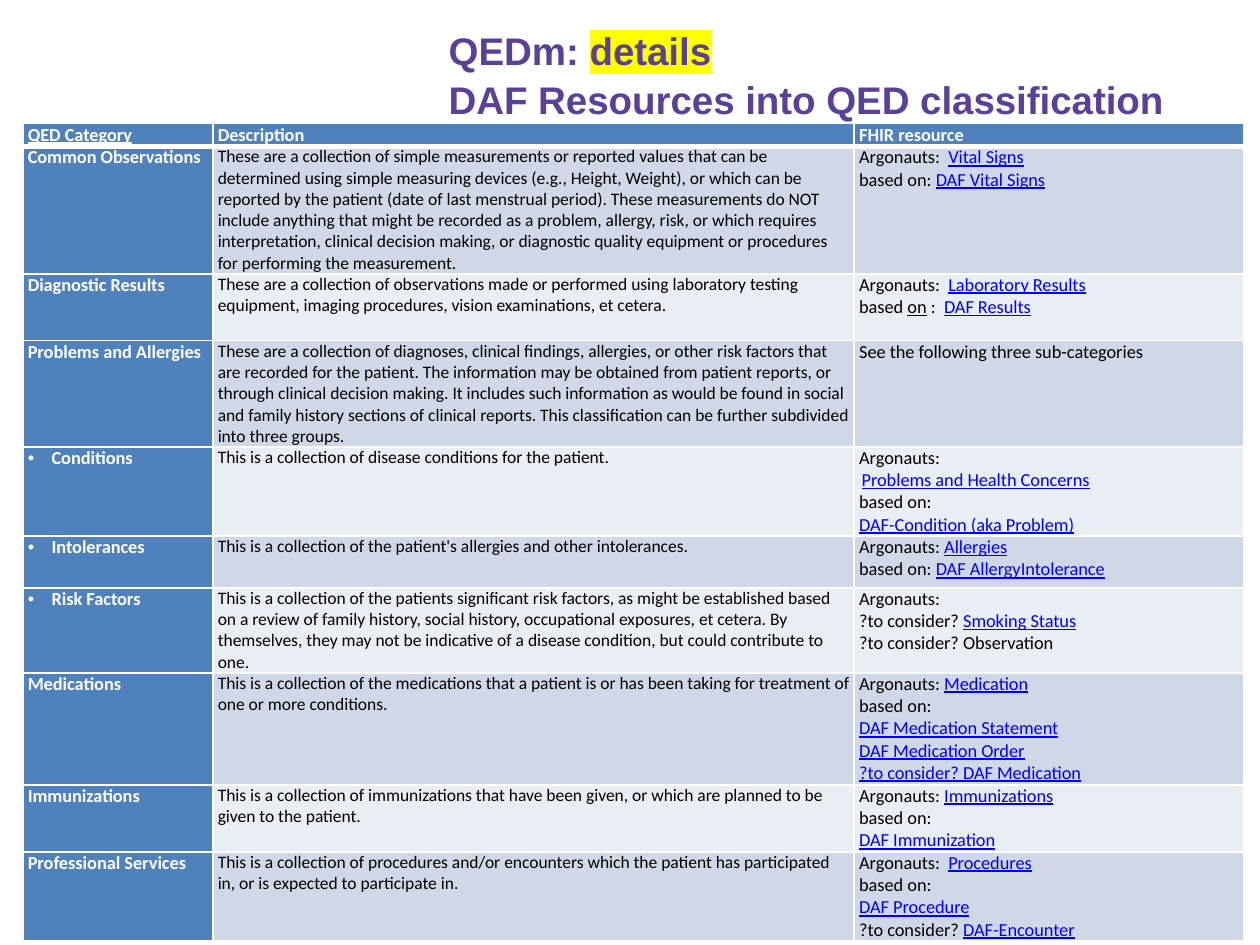
from dataclasses import dataclass

from lxml.etree import SubElement
from pptx import Presentation
from pptx.dml.color import RGBColor
from pptx.enum.text import MSO_ANCHOR, MSO_AUTO_SIZE, PP_ALIGN
from pptx.oxml.ns import qn
from pptx.util import Cm, Pt

WHITE, BLACK, LINK_BLUE, PURPLE = "FFFFFF", "000000", "0000FF", "5A4099"
HEADER_FILL = "4F81BD"
BAND_FILLS = ("D0D8E8", "E9EDF4")
TITLE = {"name": "Arial", "size": Pt(22), "bold": True}
LABEL = {"name": "Calibri", "size": Pt(10.5), "bold": True}
DESCRIPTION = {"name": "Calibri", "size": Pt(10), "bold": False}
RESOURCE = {"name": "Calibri", "size": Pt(10.5), "bold": False}
COLUMN_WIDTHS = (3.83, 12.93, 7.85)
ROW_HEIGHTS = (0.46, 2.54, 1.35, 2.14, 1.8, 1.04, 1.71, 2.26, 1.35, 1.78)


@dataclass
class Run:
    """A piece of text with its colour and underline."""
    text: str
    colour: str = BLACK
    underline: bool = False


@dataclass
class Line:
    """A paragraph of runs with its indent in centimetres."""
    runs: list
    indent: float = 0
    bullet: bool = False


def link(text):
    """Return a run that looks like a link."""
    return Run(text, LINK_BLUE, True)


def line(*parts, indent=0):
    """Return a line in which plain strings become black runs."""
    runs = [Run(part) if isinstance(part, str) else part for part in parts]
    return Line(runs, indent)


def label(text, bullet=False, underline=False):
    """Return a white line for the first column or the header."""
    return Line([Run(text, WHITE, underline)], 0.48 if bullet else 0, bullet)


CATEGORIES = [
    ("Common Observations", False,
     "These are a collection of simple measurements or reported values that can be determined "
     "using simple measuring devices (e.g., Height, Weight), or which can be reported by the "
     "patient (date of last menstrual period). These measurements do NOT include anything that "
     "might be recorded as a problem, allergy, risk, or which requires interpretation, clinical "
     "decision making, or diagnostic quality equipment or procedures for performing the "
     "measurement.",
     [line("Argonauts:  ", link("Vital Signs")),
      line("based on: ", link("DAF Vital Signs"))]),
    ("Diagnostic Results", False,
     "These are a collection of observations made or performed using laboratory testing "
     "equipment, imaging procedures, vision examinations, et cetera.",
     [line("Argonauts:  ", link("Laboratory Results")),
      line("based ", Run("on", underline=True), " :  ", link("DAF Results"))]),
    ("Problems and Allergies", False,
     "These are a collection of diagnoses, clinical findings, allergies, or other risk factors "
     "that are recorded for the patient. The information may be obtained from patient reports, "
     "or through clinical decision making. It includes such information as would be found in "
     "social and family history sections of clinical reports. This classification can be "
     "further subdivided into three groups.",
     [line("See the following three sub-categories")]),
    ("Conditions", True,
     "This is a collection of disease conditions for the patient.",
     [line("Argonauts:"),
      line(link("Problems and Health Concerns"), indent=0.05),
      line("based on:"),
      line(link("DAF-Condition (aka Problem)"))]),
    ("Intolerances", True,
     "This is a collection of the patient's allergies and other intolerances.",
     [line("Argonauts: ", link("Allergies")),
      line("based on: ", link("DAF AllergyIntolerance"))]),
    ("Risk Factors", True,
     "This is a collection of the patients significant risk factors, as might be established "
     "based on a review of family history, social history, occupational exposures, et cetera. "
     "By themselves, they may not be indicative of a disease condition, but could contribute "
     "to one.",
     [line("Argonauts:"),
      line("?to consider? ", link("Smoking Status")),
      line("?to consider? Observation")]),
    ("Medications", False,
     "This is a collection of the medications that a patient is or has been taking for "
     "treatment of one or more conditions.",
     [line("Argonauts: ", link("Medication")),
      line("based on:"),
      line(link("DAF Medication Statement")),
      line(link("DAF Medication Order")),
      line(link("?to consider? DAF Medication"))]),
    ("Immunizations", False,
     "This is a collection of immunizations that have been given, or which are planned to be "
     "given to the patient.",
     [line("Argonauts: ", link("Immunizations")),
      line("based on:"),
      line(link("DAF Immunization"))]),
    ("Professional Services", False,
     "This is a collection of procedures and/or encounters which the patient has participated "
     "in, or is expected to participate in.",
     [line("Argonauts:  ", link("Procedures")),
      line("based on:"),
      line(link("DAF Procedure")),
      line("?to consider? ", link("DAF-Encounter"))]),
]


def rgb(hex_colour):
    """Turn a hex string into a colour."""
    return RGBColor.from_string(hex_colour)


def apply(target, values):
    """Set each attribute of the target from a dict."""
    for name, value in values.items():
        setattr(target, name, value)


def write_run(paragraph, piece, text_format):
    """Add a formatted run to a paragraph."""
    run = paragraph.add_run()
    run.text = piece.text
    apply(run.font, {**text_format, "underline": piece.underline})
    run.font.color.rgb = rgb(piece.colour)
    return run


def write_line(paragraph, content, text_format):
    """Fill a paragraph with its indent, bullet and runs."""
    properties = paragraph._p.get_or_add_pPr()
    if content.indent:
        properties.set("marL", str(Cm(content.indent)))
        properties.set("indent", str(-Cm(content.indent) if content.bullet else 0))
    if content.bullet:
        SubElement(properties, qn("a:buFont"), typeface="Arial")
        SubElement(properties, qn("a:buChar"), char="•")
    for piece in content.runs:
        write_run(paragraph, piece, text_format)


def add_borders(cell, bottom_width):
    """Draw white borders ahead of the cell's fill."""
    properties = cell._tc.get_or_add_tcPr()
    for side, width in (("L", 1), ("R", 1), ("T", 1), ("B", bottom_width)):
        border = SubElement(properties, qn(f"a:ln{side}"), w=str(Pt(width)))
        SubElement(SubElement(border, qn("a:solidFill")), qn("a:srgbClr"), val=WHITE)


def fill_cell(cell, lines, text_format, fill, anchor=MSO_ANCHOR.TOP, bottom_width=1):
    """Format a table cell and write its lines."""
    apply(cell, {"margin_left": Cm(0.1), "margin_right": Cm(0.1), "margin_top": 0,
                 "margin_bottom": 0, "vertical_anchor": anchor})
    add_borders(cell, bottom_width)
    cell.fill.solid()
    cell.fill.fore_color.rgb = rgb(fill)
    frame = cell.text_frame
    for index, content in enumerate(lines):
        paragraph = frame.add_paragraph() if index else frame.paragraphs[0]
        write_line(paragraph, content, text_format)


def add_category_table(slide):
    """Add the table of categories, descriptions and resources."""
    table = slide.shapes.add_table(
        len(ROW_HEIGHTS), len(COLUMN_WIDTHS), Cm(0.46), Cm(2.49),
        Cm(sum(COLUMN_WIDTHS)), Cm(sum(ROW_HEIGHTS))).table
    for column, width in zip(table.columns, COLUMN_WIDTHS):
        column.width = Cm(width)
    for row, height in zip(table.rows, ROW_HEIGHTS):
        row.height = Cm(height)
    for column, heading in enumerate(("QED Category", "Description", "FHIR resource")):
        fill_cell(table.cell(0, column), [label(heading, underline=column == 0)], LABEL,
                  HEADER_FILL, MSO_ANCHOR.MIDDLE, 3)
    for row, (category, bullet, description, resources) in enumerate(CATEGORIES, 1):
        band = BAND_FILLS[(row - 1) % 2]
        fill_cell(table.cell(row, 0), [label(category, bullet)], LABEL, HEADER_FILL)
        fill_cell(table.cell(row, 1), [line(description)], DESCRIPTION, band)
        fill_cell(table.cell(row, 2), resources, RESOURCE, band)


def highlight(run, colour):
    """Mark a run with a highlight colour."""
    properties = run._r.get_or_add_rPr()
    marker = SubElement(properties, qn("a:highlight"))
    SubElement(marker, qn("a:srgbClr"), val=colour)
    properties.find(qn("a:solidFill")).addnext(marker)


def write_title(title):
    """Place the title and write its two lines."""
    apply(title, {"left": Cm(8.79), "top": Cm(0.43), "width": Cm(15.77), "height": Cm(2.08)})
    apply(title.text_frame, {"auto_size": MSO_AUTO_SIZE.NONE, "word_wrap": True,
                             "vertical_anchor": MSO_ANCHOR.MIDDLE})
    paragraph = title.text_frame.paragraphs[0]
    apply(paragraph, {"alignment": PP_ALIGN.LEFT, "line_spacing": 1.07})
    write_run(paragraph, Run("QEDm: ", PURPLE), TITLE)
    highlight(write_run(paragraph, Run("details", PURPLE), TITLE), "FFFF00")
    paragraph.add_line_break()
    write_run(paragraph, Run("DAF Resources into QED classification", PURPLE), TITLE)


def main():
    """Build the slide and save it."""
    presentation = Presentation()
    apply(presentation, {"slide_width": Cm(25.4), "slide_height": Cm(19.05)})
    slide = presentation.slides.add_slide(presentation.slide_layouts[0])
    subtitle = slide.placeholders[1].element
    subtitle.getparent().remove(subtitle)
    add_category_table(slide)
    write_title(slide.shapes.title)
    presentation.save("out.pptx")


if __name__ == "__main__":
    main()
